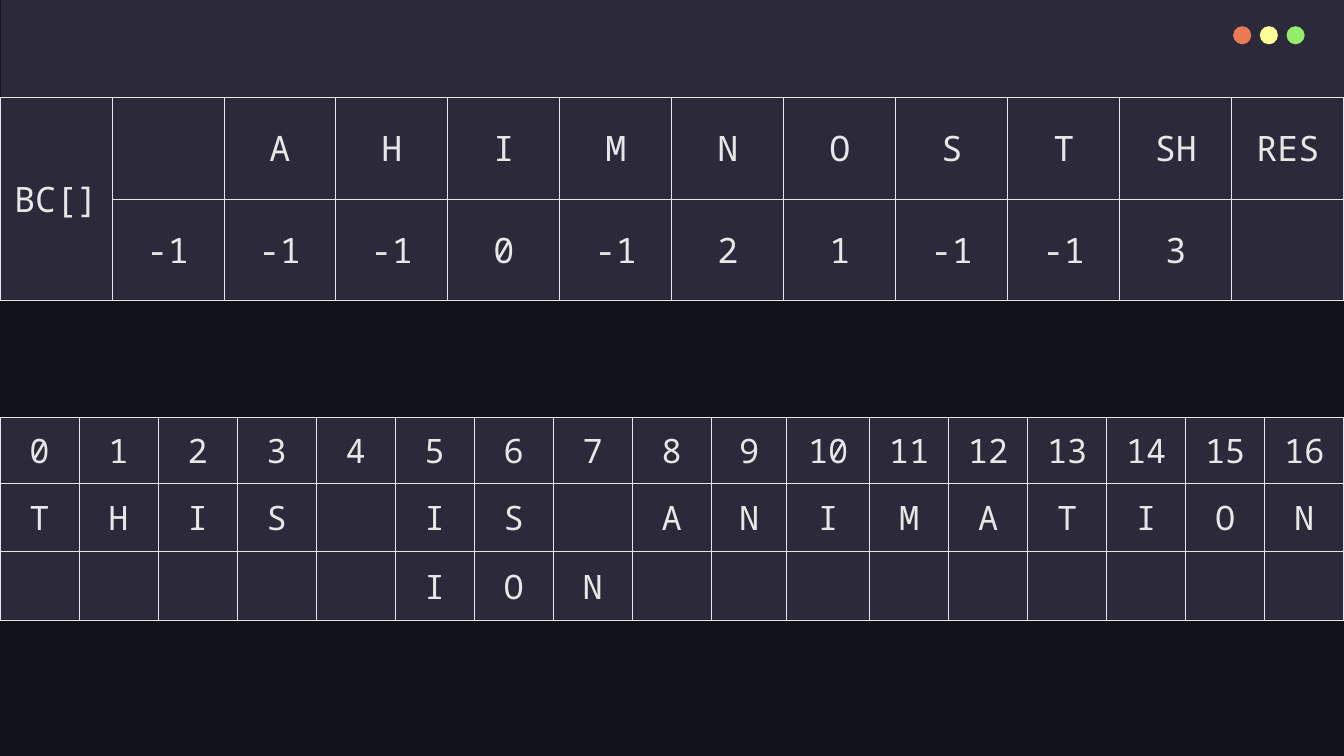
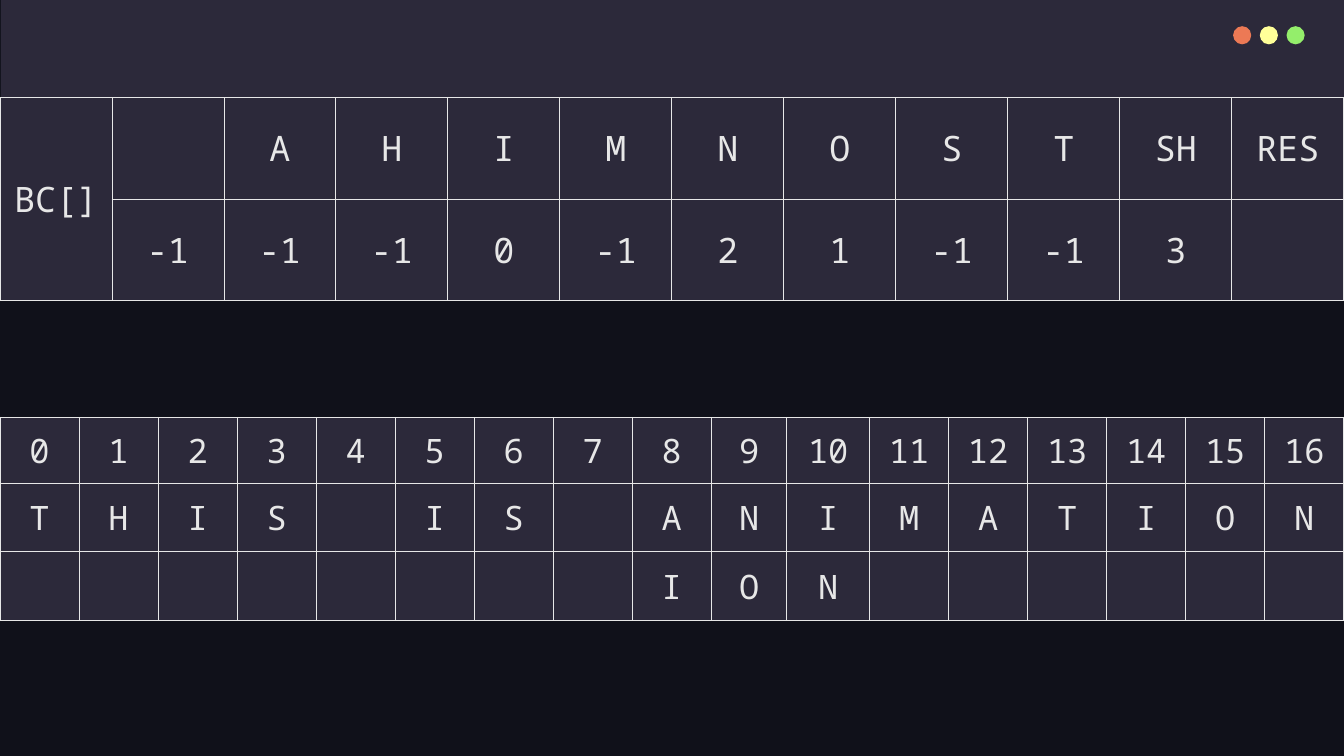
import pptx
import pptx.dml.color
import pptx.enum.shapes
import pptx.enum.text
import pptx.oxml.ns
import pptx.util
from lxml import etree

Inches = pptx.util.Inches
Pt = pptx.util.Pt

COLORS = {
    "background": "10111A",
    "panel": "2C293A",
    "text": "E7E7E7",
    "red": "EC7955",
    "yellow": "FFFF99",
    "green": "94EE6B",
}
FONT = "Noto Sans Mono"
SLIDE_WIDTH, SLIDE_HEIGHT = 13.33, 7.5

TEXT = "THIS IS ANIMATION"
PATTERN = "ION"
PATTERN_SHIFTS = [5, 8]
BAD_CHARACTERS = [
    ["BC[]", "", "A", "H", "I", "M", "N", "O", "S", "T", "SH", "RES"],
    ["", "-1", "-1", "-1", "0", "-1", "2", "1", "-1", "-1", "3", ""],
]

NARROW_COLUMNS = {9: 0.75, 10: 0.82}
DOTS = ["red", "yellow", "green"]
DOT_FIRST, DOT_LAST, DOT_TOP, DOT_SIZE = 12.23, 12.76, 0.26, 0.18
CELL_FORMAT = {
    "vertical_anchor": pptx.enum.text.MSO_ANCHOR.MIDDLE,
    "margin_left": Inches(0.13),
    "margin_right": Inches(0.13),
    "margin_top": Inches(0.1),
    "margin_bottom": Inches(0.1),
}


def rgb(color):
    return pptx.dml.color.RGBColor.from_string(COLORS[color])


def paint(fill, color):
    fill.solid()
    fill.fore_color.rgb = rgb(color)


def add_filled(shapes, kind, box, color):
    shape = shapes.add_shape(kind, *map(Inches, box))
    shape.shadow.inherit = False
    paint(shape.fill, color)
    shape.line.fill.background()
    return shape


def add_window_bar(slide, layout):
    kinds = pptx.enum.shapes.MSO_SHAPE
    band = add_filled(slide.shapes, kinds.RECTANGLE, (0.01, 0, SLIDE_WIDTH, 1.69), "panel")
    buttons = slide.shapes.add_group_shape()
    pitch = (DOT_LAST - DOT_FIRST) / (len(DOTS) - 1)
    for i, color in enumerate(DOTS):
        box = (DOT_FIRST + i * pitch, DOT_TOP, DOT_SIZE, DOT_SIZE)
        add_filled(buttons.shapes, kinds.OVAL, box, color)
    for part in (band, buttons):
        layout.shapes.element.append(part.element)


def add_borders(cell):
    properties = cell._tc.get_or_add_tcPr()
    qn = pptx.oxml.ns.qn
    for side in ("a:lnL", "a:lnR", "a:lnT", "a:lnB"):
        border = etree.SubElement(properties, qn(side), w=str(Pt(0.75)))
        fill = etree.SubElement(border, qn("a:solidFill"))
        etree.SubElement(fill, qn("a:srgbClr"), val=COLORS["text"])


def format_cell(cell, text, size):
    add_borders(cell)
    paint(cell.fill, "panel")
    for name, value in CELL_FORMAT.items():
        setattr(cell, name, value)
    cell.text = text
    paragraph = cell.text_frame.paragraphs[0]
    paragraph.alignment = pptx.enum.text.PP_ALIGN.CENTER
    for run in paragraph.runs:
        run.font.name = FONT
        run.font.size = Pt(size)
        run.font.color.rgb = rgb("text")


def add_grid(slide, rows, top, widths, heights, size):
    frame = slide.shapes.add_table(
        len(rows), len(widths), 0, Inches(top), Inches(sum(widths)), Inches(sum(heights)))
    table = frame.table
    table.first_row = table.horz_banding = False
    for column, width in zip(table.columns, widths):
        column.width = Inches(width)
    for row, height in zip(table.rows, heights):
        row.height = Inches(height)
    for r, row in enumerate(rows):
        for c, text in enumerate(row):
            format_cell(table.cell(r, c), text, size)
    return table


def add_search_step(slide, shift):
    count = len(TEXT)
    regular = (SLIDE_WIDTH - sum(NARROW_COLUMNS.values())) / (count - len(NARROW_COLUMNS))
    widths = [NARROW_COLUMNS.get(i, regular) for i in range(count)]
    search_rows = [
        [str(i) for i in range(count)],
        [letter.strip() for letter in TEXT],
        [letter.strip() for letter in (" " * shift + PATTERN).ljust(count)],
    ]
    add_grid(slide, search_rows, 4.14, widths, [0.65, 0.68, 0.68], 24)

    columns = len(BAD_CHARACTERS[0])
    shift_table = add_grid(
        slide, BAD_CHARACTERS, 0.97, [SLIDE_WIDTH / columns] * columns, [2.01 / 2] * 2, 25)
    shift_table.cell(0, 0).merge(shift_table.cell(1, 0))


def main():
    deck = pptx.Presentation()
    deck.slide_width = Inches(SLIDE_WIDTH)
    deck.slide_height = Inches(SLIDE_HEIGHT)
    paint(deck.slide_master.background.fill, "background")
    layout = deck.slide_layouts[6]
    for placeholder in list(layout.placeholders):
        layout.shapes.element.remove(placeholder.element)
    slides = [deck.slides.add_slide(layout) for _ in PATTERN_SHIFTS]
    add_window_bar(slides[0], layout)
    for slide, shift in zip(slides, PATTERN_SHIFTS):
        add_search_step(slide, shift)
    deck.save("out.pptx")


if __name__ == "__main__":
    main()
